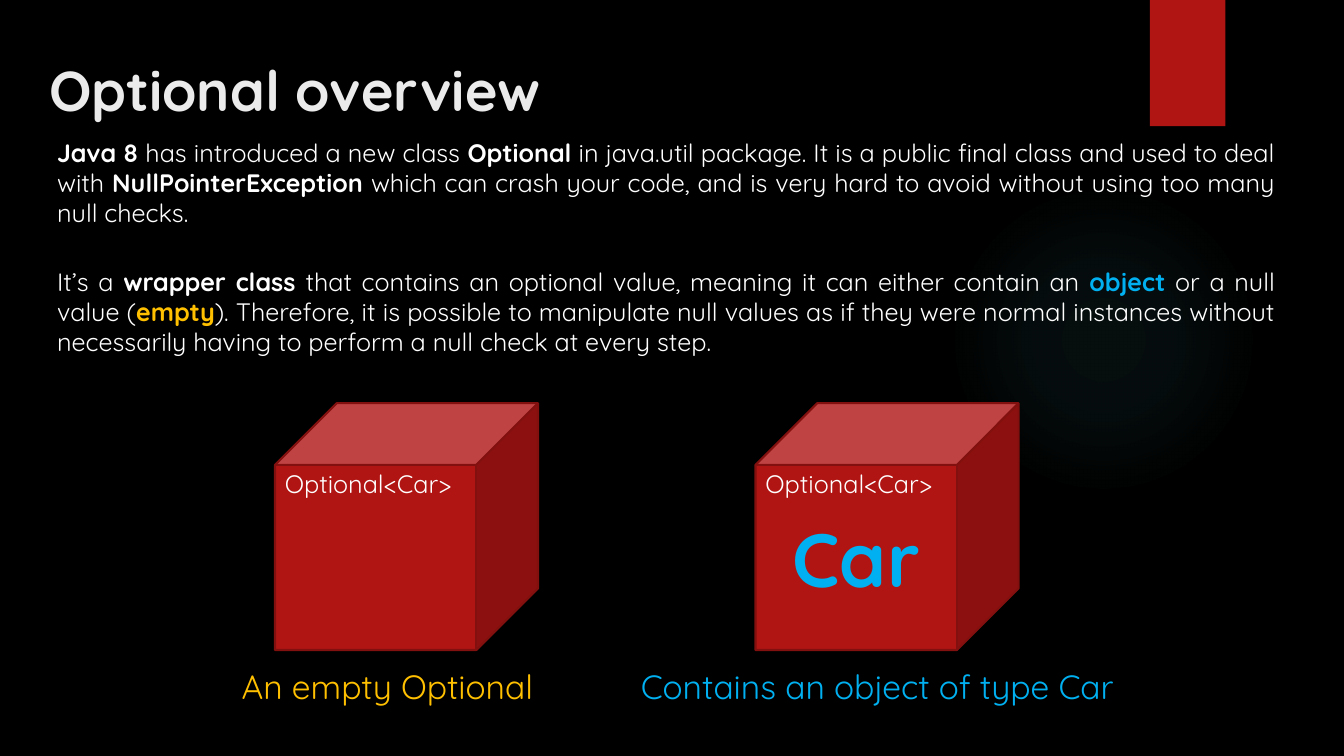
from lxml import etree
from pptx import Presentation
from pptx import util as u
from pptx.dml.color import RGBColor
from pptx.enum import shapes, text
from pptx.oxml import ns

BLACK = RGBColor(0x00, 0x00, 0x00)
WHITE = RGBColor(0xFF, 0xFF, 0xFF)
OFF_WHITE = RGBColor(0xEB, 0xEB, 0xEB)
RED = RGBColor(0xB0, 0x15, 0x13)
DARK_RED = RGBColor(0x82, 0x10, 0x0E)
BLUE = RGBColor(0x00, 0xB0, 0xF0)
AMBER = RGBColor(0xFF, 0xC0, 0x00)
TEAL = RGBColor(0x50, 0xB9, 0xC1)


class SlideBuilder:
    face = "Quicksand"

    def __init__(self, slide):
        self.slide = slide
        slide.background.fill.solid()
        slide.background.fill.fore_color.rgb = BLACK

    def style(self, paragraph, size, color=None, bold=None):
        paragraph.font.name = self.face
        paragraph.font.size = u.Pt(size)
        if color is not None:
            paragraph.font.color.rgb = color
        if bold is not None:
            paragraph.font.bold = bold

    def shape(self, kind, left, top, width, height):
        shape = self.slide.shapes.add_shape(
            kind, u.Cm(left), u.Cm(top), u.Cm(width), u.Cm(height))
        shape.shadow.inherit = False
        shape.line.fill.background()
        return shape

    def glow(self, left, top, diameter, color, stops):
        glow = self.shape(shapes.MSO_SHAPE.OVAL, left, top, diameter, diameter)
        grad = etree.Element(ns.qn("a:gradFill"), rotWithShape="1")
        stop_list = etree.SubElement(grad, ns.qn("a:gsLst"))
        for position, opacity in stops:
            stop = etree.SubElement(stop_list, ns.qn("a:gs"), pos=str(position * 1000))
            tint = etree.SubElement(stop, ns.qn("a:srgbClr"), val=str(color))
            etree.SubElement(tint, ns.qn("a:alpha"), val=str(opacity * 1000))
        focus = etree.SubElement(grad, ns.qn("a:path"), path="circle")
        etree.SubElement(focus, ns.qn("a:fillToRect"),
                         l="50000", t="50000", r="50000", b="50000")
        glow.element.spPr.find(ns.qn("a:prstGeom")).addnext(grad)

    def ribbon(self, left, top, width, height):
        ribbon = self.shape(shapes.MSO_SHAPE.RECTANGLE, left, top, width, height)
        ribbon.fill.solid()
        ribbon.fill.fore_color.rgb = RED

    def cube(self, left, top, width, height, content):
        cube = self.shape(shapes.MSO_SHAPE.CUBE, left, top, width, height)
        cube.fill.solid()
        cube.fill.fore_color.rgb = RED
        cube.line.color.rgb = DARK_RED
        cube.line.width = u.Pt(1.5)
        if content:
            cube.text_frame.vertical_anchor = text.MSO_ANCHOR.MIDDLE
            paragraph = cube.text_frame.paragraphs[0]
            paragraph.alignment = text.PP_ALIGN.CENTER
            paragraph.add_run().text = content
            self.style(paragraph, 54, BLUE, True)

    def text_box(self, left, top, width, height):
        box = self.slide.shapes.add_textbox(
            u.Cm(left), u.Cm(top), u.Cm(width), u.Cm(height))
        box.text_frame.word_wrap = True
        return box.text_frame.paragraphs[0]

    def line(self, left, top, width, height, words, size, color, bold=False):
        paragraph = self.text_box(left, top, width, height)
        paragraph.add_run().text = words
        self.style(paragraph, size, color, bold)

    def passage(self, left, top, width, height, parts):
        paragraph = self.text_box(left, top, width, height)
        paragraph.alignment = text.PP_ALIGN.JUSTIFY
        self.style(paragraph, 18)
        for words, color, bold in parts:
            run = paragraph.add_run()
            run.text = words
            run.font.color.rgb = color
            run.font.bold = bold


INTRODUCTION = [
    ("Java 8", WHITE, True),
    (" has introduced a new class ", WHITE, False),
    ("Optional", WHITE, True),
    (" in java.util package. It is a public final class and used to deal with ", WHITE, False),
    ("NullPointerException ", WHITE, True),
    ("which can crash your code, and is very hard to avoid without using too many "
     "null checks. ", WHITE, False),
]
WRAPPER = [
    ("It’s a ", WHITE, False),
    ("wrapper class ", WHITE, True),
    ("that contains an optional value, meaning it can either contain an ", WHITE, False),
    ("object ", BLUE, True),
    ("or a null value (", WHITE, False),
    ("empty", AMBER, True),
    ("). Therefore, it is possible to manipulate null values as if they were normal "
     "instances without necessarily having to perform a null check at every step.",
     WHITE, False),
]
OPTIONALS = [
    (6.93, "", 5.84, 8.79, "An empty Optional", AMBER),
    (19.04, "Car", 15.9, 15.06, "Contains an object of type Car", BLUE),
]


def main():
    deck = Presentation()
    deck.slide_width, deck.slide_height = u.Cm(33.87), u.Cm(19.05)
    page = SlideBuilder(deck.slides.add_slide(deck.slide_layouts[6]))

    page.glow(23.9, 4.65, 7.82, TEAL, [(0, 7), (36, 6), (69, 0)])
    page.ribbon(28.98, 0, 1.9, 3.18)
    page.line(0.99, 1.27, 28.07, 2.24, "Optional overview", 40, OFF_WHITE, True)

    for top, parts in ((3.33, INTRODUCTION), (6.58, WRAPPER)):
        page.passage(1.19, top, 31.19, 2.57, parts)

    for left, content, caption_left, caption_width, caption, color in OPTIONALS:
        page.cube(left, 10.16, 6.63, 6.22, content)
        page.line(left, 11.68, 5.1, 1.02, "Optional<Car>", 18, WHITE)
        page.line(caption_left, 16.66, caption_width, 1.27, caption, 24, color)

    deck.save("out.pptx")


if __name__ == "__main__":
    main()
